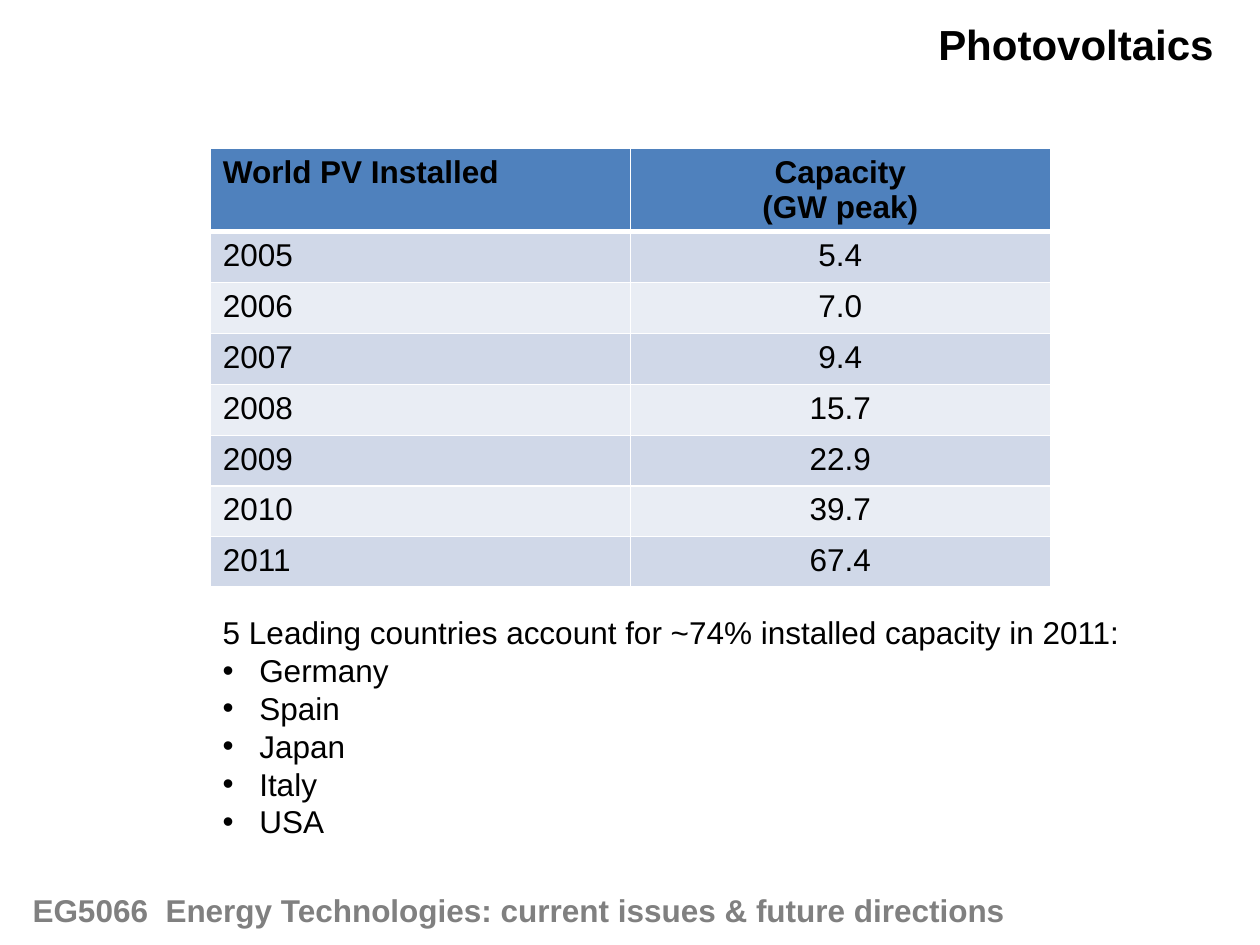
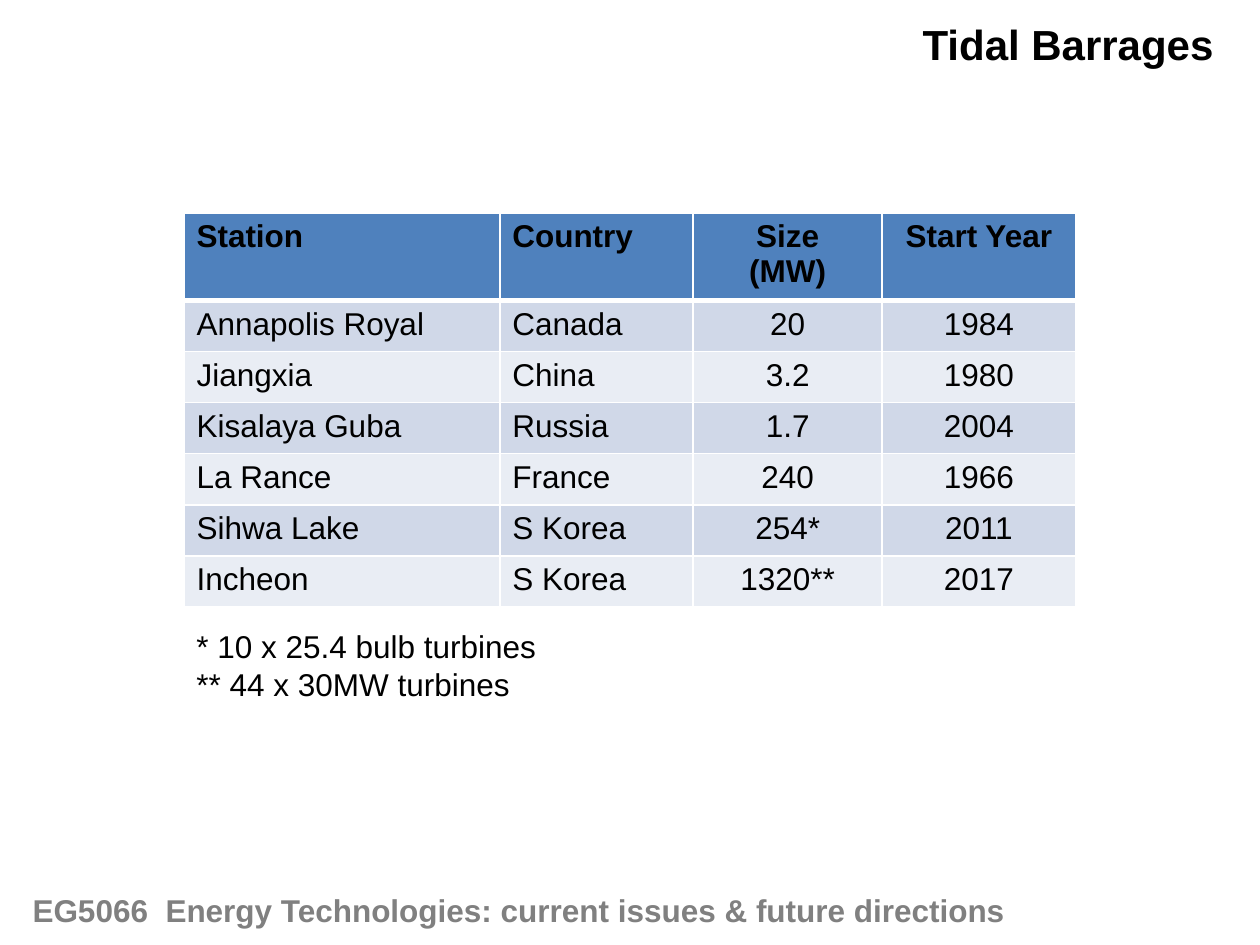
from dataclasses import dataclass

from lxml import etree
from pptx import Presentation
from pptx.dml.color import RGBColor
from pptx.enum.text import MSO_AUTO_SIZE, PP_ALIGN
from pptx.oxml.ns import qn
from pptx.slide import Slide
from pptx.util import Pt

LEFT, CENTER, RIGHT = PP_ALIGN.LEFT, PP_ALIGN.CENTER, PP_ALIGN.RIGHT
FIT_SHAPE = MSO_AUTO_SIZE.SHAPE_TO_FIT_TEXT

FONT = "Arial"
BLACK, WHITE, GREY = "000000", "FFFFFF", "808080"
HEADER_FILL = "4F81BD"
BAND_FILLS = ("D0D8E8", "E9EDF4")
BODY_SIZE, TITLE_SIZE = 18, 24
LINE_FACTOR = 1.2
HEADER_LINE = 20
TITLE_RIGHT = 700.6
BULLET_INDENT = 20.9
FOOTER = "EG5066  Energy Technologies: current issues & future directions"


@dataclass(frozen=True)
class Area:
    left: float
    top: float
    width: float
    height: float


@dataclass(frozen=True)
class Grid:
    left: float
    top: float
    column_widths: tuple[float, ...]
    row_heights: tuple[float, ...]
    alignments: tuple[PP_ALIGN, ...]
    rows: tuple[tuple[str, ...], ...]


@dataclass(frozen=True)
class Topic:
    title: str
    title_width: float
    grid: Grid
    remark_area: Area
    remarks: tuple[str, ...]
    bullets: tuple[str, ...] = ()


TOPICS = (
    Topic(
        "Photovoltaics", 172.1,
        Grid(
            120.2, 84.9, (240, 240), (47,) + (29.2,) * 4 + (28.4,) * 3,
            (LEFT, CENTER),
            (
                ("World PV Installed", "Capacity\n(GW peak)"),
                ("2005", "5.4"),
                ("2006", "7.0"),
                ("2007", "9.4"),
                ("2008", "15.7"),
                ("2009", "22.9"),
                ("2010", "39.7"),
                ("2011", "67.4"),
            ),
        ),
        Area(120.2, 347, 531.4, 138.2),
        ("5 Leading countries account for ~74% installed capacity in 2011:",),
        ("Germany", "Spain", "Japan", "Italy", "USA"),
    ),
    Topic(
        "Tidal Barrages", 181.4,
        Grid(
            105.1, 121.7, (180.5, 110.5, 108, 110.5), (50,) + (29.2,) * 6,
            (LEFT, LEFT, CENTER, CENTER),
            (
                ("Station", "Country", "Size\n(MW)", "Start Year"),
                ("Annapolis Royal", "Canada", "20", "1984"),
                ("Jiangxia", "China", "3.2", "1980"),
                ("Kisalaya Guba", "Russia", "1.7", "2004"),
                ("La Rance", "France", "240", "1966"),
                ("Sihwa Lake", "S Korea", "254*", "2011"),
                ("Incheon", "S Korea", "1320**", "2017"),
            ),
        ),
        Area(105.1, 355, 210.2, 51.1),
        ("* 10 x 25.4 bulb turbines", "** 44 x 30MW turbines"),
    ),
)


def rgb(color: str) -> RGBColor:
    return RGBColor.from_string(color)


def style_paragraph(para, size: float, color: str, bold: bool, align: PP_ALIGN) -> None:
    para.alignment = align
    font = para.font
    font.name, font.size, font.bold = FONT, Pt(size), bold
    font.color.rgb = rgb(color)


def add_bullet(para) -> None:
    properties = para._p.get_or_add_pPr()
    properties.set("marL", str(Pt(BULLET_INDENT)))
    properties.set("indent", str(-Pt(BULLET_INDENT)))
    etree.SubElement(properties, qn("a:buFont"), typeface=FONT)
    etree.SubElement(properties, qn("a:buChar"), char="•")


def add_text(page: Slide, area: Area, lines: tuple[str, ...], size: float = BODY_SIZE,
             color: str = BLACK, bold: bool = False, align: PP_ALIGN = LEFT,
             wrap: bool = False, bullets: tuple[str, ...] = ()) -> None:
    """Write plain lines, then bulleted ones, in one text box."""
    box = page.shapes.add_textbox(Pt(area.left), Pt(area.top), Pt(area.width), Pt(area.height))
    frame = box.text_frame
    frame.word_wrap = wrap
    frame.auto_size = FIT_SHAPE
    frame.text = "\n".join(lines + bullets)
    for index, para in enumerate(frame.paragraphs):
        if index >= len(lines):
            add_bullet(para)
        para.line_spacing = Pt(size * LINE_FACTOR)
        style_paragraph(para, size, color, bold, align)


def set_borders(cell, row: int) -> None:
    """Draw thin white borders, with a thick one between header and body."""
    widths = {"L": 1, "R": 1, "T": 3 if row == 1 else 1, "B": 3 if row == 0 else 1}
    properties = cell._tc.get_or_add_tcPr()
    for index, (side, width) in enumerate(widths.items()):
        line = etree.Element(qn(f"a:ln{side}"), w=str(Pt(width)))
        fill = etree.SubElement(line, qn("a:solidFill"))
        etree.SubElement(fill, qn("a:srgbClr"), val=WHITE)
        properties.insert(index, line)


def add_grid(page: Slide, grid: Grid) -> None:
    table = page.shapes.add_table(
        len(grid.rows), len(grid.column_widths), Pt(grid.left), Pt(grid.top),
        Pt(sum(grid.column_widths)), Pt(sum(grid.row_heights))).table
    for column, width in zip(table.columns, grid.column_widths):
        column.width = Pt(width)
    for row, (height, texts) in enumerate(zip(grid.row_heights, grid.rows)):
        table.rows[row].height = Pt(height)
        is_header = row == 0
        for column, (text, align) in enumerate(zip(texts, grid.alignments)):
            cell = table.cell(row, column)
            cell.text = text
            cell.fill.solid()
            cell.fill.fore_color.rgb = rgb(HEADER_FILL if is_header else BAND_FILLS[(row - 1) % 2])
            set_borders(cell, row)
            for para in cell.text_frame.paragraphs:
                if is_header:
                    para.line_spacing = Pt(HEADER_LINE)
                style_paragraph(para, BODY_SIZE, BLACK, is_header, align)


def add_topic(deck, topic: Topic) -> None:
    page = deck.slides.add_slide(deck.slide_layouts[6])
    title_area = Area(TITLE_RIGHT - topic.title_width, 7.2, topic.title_width, 36)
    add_text(page, title_area, (topic.title,), size=TITLE_SIZE, bold=True, align=RIGHT)
    add_grid(page, topic.grid)
    add_text(page, topic.remark_area, topic.remarks, bullets=topic.bullets)
    add_text(page, Area(11.5, 505.4, 618.5, 28.8), (FOOTER,), color=GREY, bold=True, wrap=True)


def main() -> None:
    deck = Presentation()
    deck.slide_width, deck.slide_height = Pt(720), Pt(540)
    for topic in TOPICS:
        add_topic(deck, topic)
    deck.save("out.pptx")


if __name__ == "__main__":
    main()
